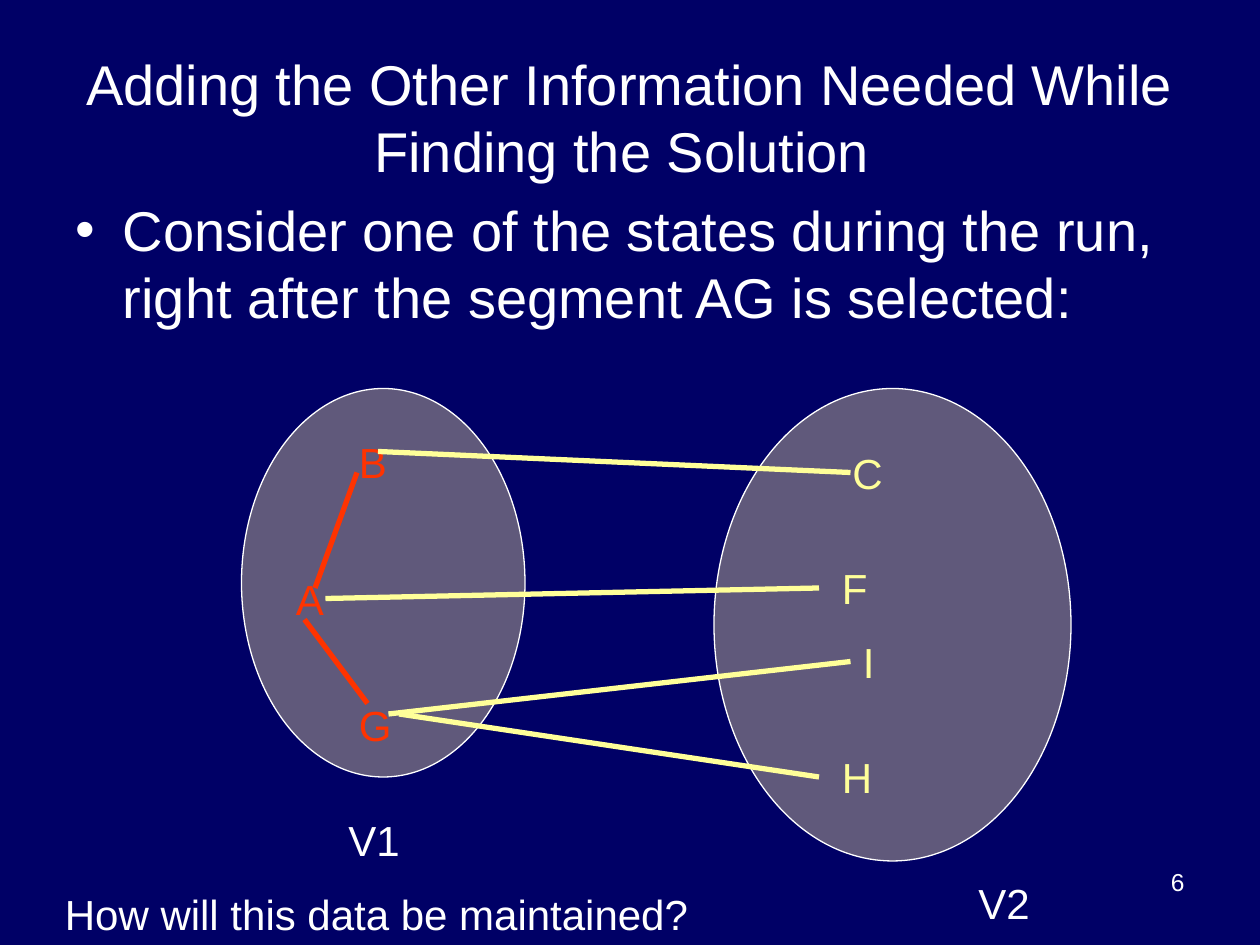
"""Build the slide on two vertex sets and the segments between them."""
from dataclasses import dataclass

from lxml import etree
from pptx import Presentation
from pptx.dml.color import RGBColor
from pptx.enum.shapes import MSO_CONNECTOR, MSO_SHAPE
from pptx.enum.text import MSO_ANCHOR, MSO_AUTO_SIZE, PP_ALIGN
from pptx.oxml.ns import qn
from pptx.util import Inches, Pt

OVAL = MSO_SHAPE.OVAL
LINE = MSO_CONNECTOR.STRAIGHT
TOP, MID = MSO_ANCHOR.TOP, MSO_ANCHOR.MIDDLE
FIXED = MSO_AUTO_SIZE.NONE
LEFT, MIDST, RIGHT = PP_ALIGN.LEFT, PP_ALIGN.CENTER, PP_ALIGN.RIGHT


@dataclass(frozen=True)
class Theme:
    """Colours, type sizes and line widths."""
    back: str = "000066"
    text: str = "FFFFFF"
    fill: str = "60597B"
    red: str = "FF3300"
    gold: str = "FFFF99"
    font: str = "Arial"
    head: int = 32
    label: int = 24
    small: int = 14
    thin: float = 0.75
    thick: int = 3


class Deck:
    """Draw on a grid of 120 columns and 90 rows."""

    def __init__(self, theme):
        """Open a deck with one title and list slide."""
        self.theme = theme
        self.prs = Presentation()
        self.prs.slide_width, self.prs.slide_height = Inches(10), Inches(7.5)
        self.slide = self.prs.slides.add_slide(self.prs.slide_layouts[1])
        back = self.slide.background.fill
        back.solid()
        back.fore_color.rgb = RGBColor.from_string(theme.back)

    def grid(self, *cells):
        """Turn pairs of columns and rows into lengths."""
        units = self.prs.slide_width / 120, self.prs.slide_height / 90
        return [round(n * units[i % 2]) for i, n in enumerate(cells)]

    def put(self, shape, text, size, tint, align, anchor=TOP):
        """Put one styled run into a shape."""
        frame = shape.text_frame
        frame.word_wrap = True
        frame.auto_size = FIXED
        frame.vertical_anchor = anchor
        para = frame.paragraphs[0]
        para.alignment = align
        para.space_before = Pt(0)
        run = para.add_run()
        run.text = text
        run.font.name = self.theme.font
        run.font.size = Pt(size)
        run.font.color.rgb = RGBColor.from_string(tint)

    def holder(self, index, cells, text, align, anchor=TOP):
        """Move and fill a template placeholder."""
        shape = self.slide.placeholders[index]
        shape.left, shape.top, shape.width, shape.height = self.grid(*cells)
        self.put(shape, text, self.theme.head, self.theme.text, align, anchor)

    def label(self, cells, text, tint, size=None, align=LEFT):
        """Add a text box."""
        box = self.slide.shapes.add_textbox(*self.grid(*cells))
        self.put(box, text, size or self.theme.label, tint, align)

    def oval(self, *cells):
        """Add the outline of a vertex set."""
        shape = self.slide.shapes.add_shape(OVAL, *self.grid(*cells))
        shape.shadow.inherit = False
        shape.fill.solid()
        shape.fill.fore_color.rgb = RGBColor.from_string(self.theme.fill)
        shape.line.color.rgb = RGBColor.from_string(self.theme.text)
        shape.line.width = Pt(self.theme.thin)

    def edge(self, cells, tint):
        """Add a segment between two points."""
        line = self.slide.shapes.add_connector(LINE, *self.grid(*cells))
        line.line.color.rgb = RGBColor.from_string(tint)
        line.line.width = Pt(self.theme.thick)
        etree.SubElement(line._element.spPr, qn("a:effectLst"))


def main():
    """Draw the slide and save it."""
    theme = Theme()
    deck = Deck(theme)
    deck.holder(0, (6, 3.6, 108, 15),
                "Adding the Other Information Needed While Finding the Solution ",
                MIDST, MID)
    deck.holder(1, (6, 18, 108, 62.4),
                "Consider one of the states during the run, "
                "right after the segment AG is selected:", LEFT)

    sets = [
        ((23, 37, 27, 37), theme.red,
         [("A", 27, 54), ("B", 33, 41), ("G", 33, 66)],
         [(30, 56, 34, 45), (29, 59, 35, 67)]),
        ((68, 37, 34, 45), theme.gold,
         [("C", 80, 42), ("F", 79, 53), ("I", 81, 60), ("H", 79, 71)],
         [(36, 43, 81, 45), (31, 57, 78, 56),
          (37, 68, 81, 63), (38, 68, 78, 74)]),
    ]
    for oval, tint, nodes, edges in sets:
        deck.oval(*oval)
        for name, col, row in nodes:
            deck.label((col, row, 8, 6), name, tint)
        for edge in edges:
            deck.edge(edge, tint)

    notes = [("V1", 32, 77, 11), ("V2", 92, 83, 14),
             ("How will this data be maintained?", 5, 84, 67)]
    for text, col, row, width in notes:
        deck.label((col, row, width, 6), text, theme.text)
    deck.label((86, 82, 28, 6.2), "6", theme.text, theme.small, RIGHT)
    deck.prs.save("out.pptx")


if __name__ == "__main__":
    main()
